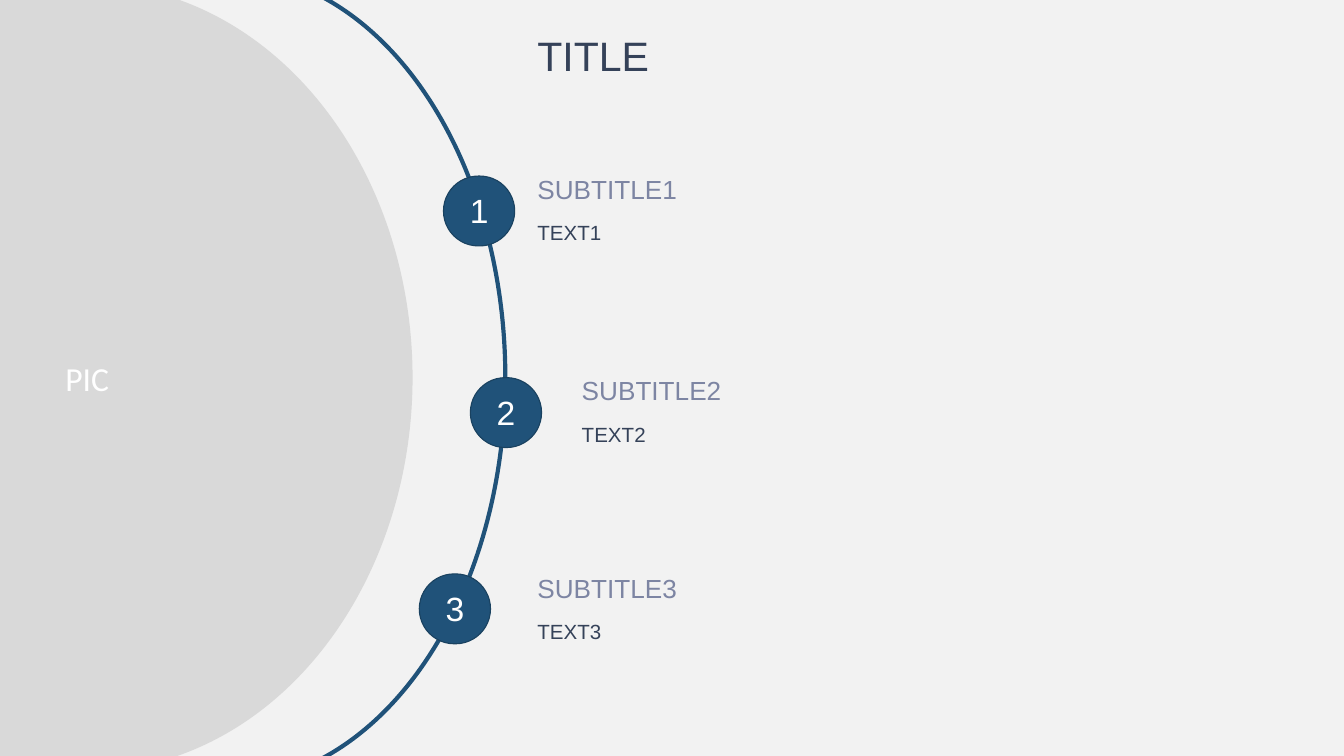
from pptx import Presentation
from pptx.dml.color import RGBColor
from pptx.enum.shapes import MSO_SHAPE
from pptx.enum.text import MSO_ANCHOR, MSO_AUTO_SIZE, PP_ALIGN
from pptx.util import Pt

BLUE, NAVY, LILAC, WHITE = "205279", "354259", "7D85A3", "FFFFFF"
RIGHT_EDGE = 678.24
ITEMS = [
    ("1", 237.6, 94.3, 280.8, 69.84),
    ("2", 252, 202.3, 304.56, 177.84),
    ("3", 224.64, 307.44, 280.8, 283.68),
]


def color(value):
    return RGBColor.from_string(value)


def write(sp, text, size=18, font="Arial", fill=WHITE,
          align=PP_ALIGN.LEFT, anchor=MSO_ANCHOR.TOP):
    tf = sp.text_frame
    tf.word_wrap = True
    tf.vertical_anchor = anchor
    p = tf.paragraphs[0]
    p.alignment = align
    r = p.add_run()
    r.text = text
    r.font.size = Pt(size)
    r.font.name = font
    r.font.color.rgb = color(fill)


def add_text(shapes, text, left, top, width, height, **style):
    sp = shapes.add_textbox(Pt(left), Pt(top), Pt(width), Pt(height))
    write(sp, text, **style)
    return sp


def add_shape(shapes, kind, left, top, width, height,
              fill=None, line=None, weight=1):
    sp = shapes.add_shape(kind, Pt(left), Pt(top), Pt(width), Pt(height))
    sp.shadow.inherit = False
    if fill:
        sp.fill.solid()
        sp.fill.fore_color.rgb = color(fill)
    else:
        sp.fill.background()
    if line:
        sp.line.color.rgb = color(line)
        sp.line.width = Pt(weight)
    else:
        sp.line.fill.background()
    return sp


def add_badge(s, number, left, top):
    group = s.shapes.add_group_shape()
    sp = add_shape(group.shapes, MSO_SHAPE.ROUNDED_RECTANGLE, left, top,
                   38.16, 37.44, fill=BLUE, line="1A4260", weight=0.6)
    sp.adjustments[0] = 0.5
    label = add_text(group.shapes, number, left, top + 4, 38.16, 29,
                     align=PP_ALIGN.CENTER)
    label.text_frame.auto_size = MSO_AUTO_SIZE.SHAPE_TO_FIT_TEXT


def add_entry(s, number, left, top):
    width = RIGHT_EDGE - left
    add_text(s.shapes, f"SUBTITLE{number}", left, top, width, 43.2,
             size=14, fill=LILAC, anchor=MSO_ANCHOR.BOTTOM)
    add_text(s.shapes, f"TEXT{number}", left, top + 44.64, width, 40.32,
             size=11, fill=NAVY)


def main():
    prs = Presentation()
    prs.slide_width, prs.slide_height = Pt(720), Pt(405)
    s = prs.slides.add_slide(prs.slide_layouts[6])
    s.background.fill.solid()
    s.background.fill.fore_color.rgb = color("F2F2F2")

    add_shape(s.shapes, MSO_SHAPE.OVAL, -29.52, -15.12, 300.24, 434.88,
              line=BLUE, weight=2.25)
    photo = add_shape(s.shapes, MSO_SHAPE.OVAL, -127.44, -8.64, 348.48, 421.92,
                      fill="D9D9D9")
    write(photo, "PIC", font="Calibri", align=PP_ALIGN.CENTER,
          anchor=MSO_ANCHOR.MIDDLE)

    add_text(s.shapes, "TITLE", 280.8, 12.96, RIGHT_EDGE - 280.8, 61.2,
             size=22, fill=NAVY)
    for number, badge_left, badge_top, left, top in ITEMS:
        add_badge(s, number, badge_left, badge_top)
        add_entry(s, number, left, top)
    prs.save("out.pptx")


if __name__ == "__main__":
    main()
